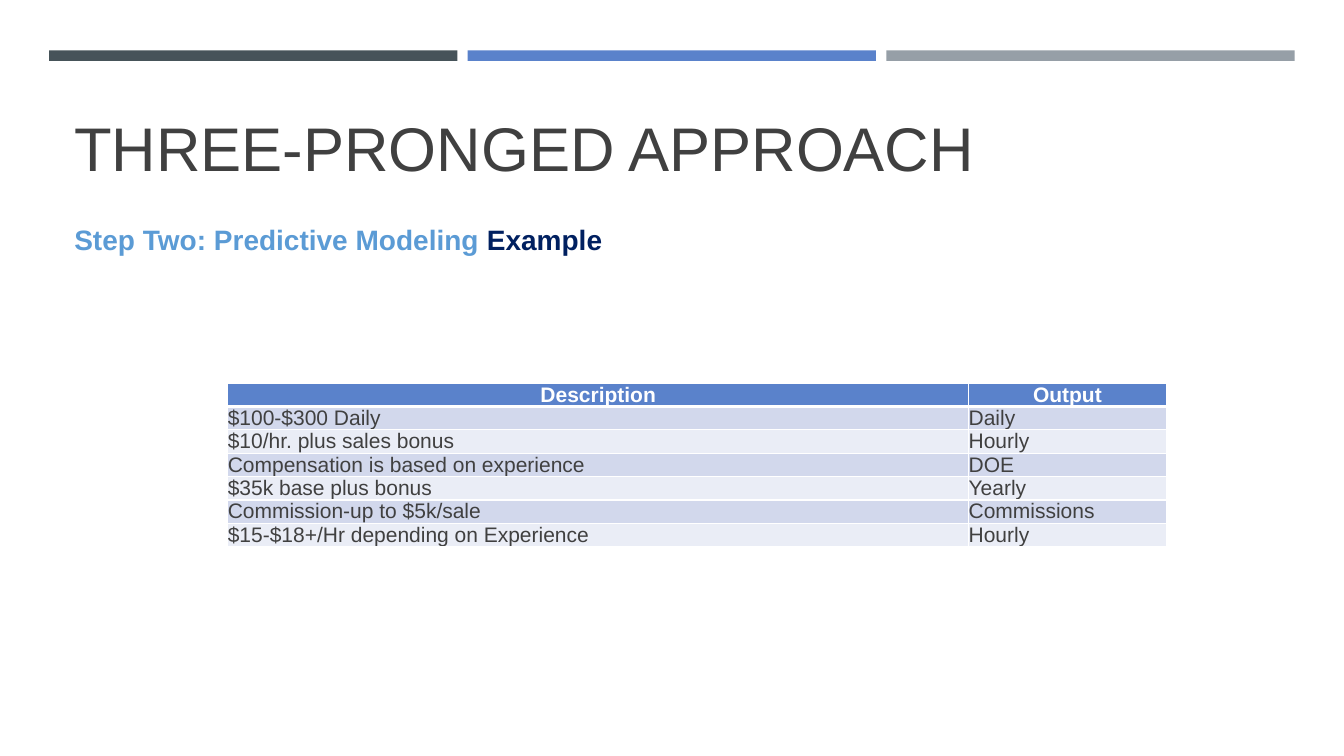
from lxml import etree
from pptx import Presentation
from pptx.dml.color import RGBColor
from pptx.enum.shapes import MSO_SHAPE
from pptx.enum.text import MSO_ANCHOR, PP_ALIGN
from pptx.oxml.ns import qn
from pptx.util import Pt

RECT = MSO_SHAPE.RECTANGLE
TOP, MIDDLE, BOTTOM = MSO_ANCHOR.TOP, MSO_ANCHOR.MIDDLE, MSO_ANCHOR.BOTTOM
LEFT, CENTER = PP_ALIGN.LEFT, PP_ALIGN.CENTER

WHITE = RGBColor(0xFF, 0xFF, 0xFF)
SLATE = RGBColor(0x46, 0x53, 0x59)
BLUE = RGBColor(0x5A, 0x82, 0xCB)
GRAY = RGBColor(0x96, 0x9F, 0xA7)
DARK = RGBColor(0x40, 0x40, 0x40)
SKY = RGBColor(0x5B, 0x9B, 0xD5)
NAVY = RGBColor(0x00, 0x20, 0x60)
BAND_DARK = RGBColor(0xD2, 0xD8, 0xEC)
BAND_LIGHT = RGBColor(0xEA, 0xED, 0xF6)

PAY_ROWS = [
    ("Description", "Output"),
    ("$100-$300 Daily", "Daily"),
    ("$10/hr. plus sales bonus", "Hourly"),
    ("Compensation is based on experience", "DOE"),
    ("$35k base plus bonus", "Yearly"),
    ("Commission-up to $5k/sale", "Commissions"),
    ("$15-$18+/Hr depending on Experience", "Hourly"),
]


def add_run(p, text, *, size, color, bold=False, font="Arial"):
    r = p.add_run()
    r.text = text
    r.font.name = font
    r.font.size = Pt(size)
    r.font.bold = bold
    r.font.color.rgb = color


def set_border(cell, side, color, width):
    tc_pr = cell._tc.get_or_add_tcPr()
    ln = etree.SubElement(tc_pr, qn(f"a:ln{side}"), w=str(Pt(width)))
    fill = etree.SubElement(ln, qn("a:solidFill"))
    etree.SubElement(fill, qn("a:srgbClr"), val=str(color))


class SlideBuilder:
    text_size = 15
    row_height = 16

    def __init__(self, slide):
        self.s = slide

    def bar(self, x, y, w, h, color):
        sp = self.s.shapes.add_shape(RECT, Pt(x), Pt(y), Pt(w), Pt(h))
        sp.shadow.inherit = False
        sp.fill.solid()
        sp.fill.fore_color.rgb = color
        sp.line.fill.background()

    def text(self, x, y, w, h, runs, size, bold=False, anchor=TOP, spacing=1.0):
        tf = self.s.shapes.add_textbox(Pt(x), Pt(y), Pt(w), Pt(h)).text_frame
        tf.word_wrap = True
        tf.vertical_anchor = anchor
        p = tf.paragraphs[0]
        p.line_spacing = spacing
        for text, color in runs:
            add_run(p, text, size=size, color=color, bold=bold)

    def table(self, x, y, widths, h, rows):
        sp = self.s.shapes.add_table(
            len(rows), len(widths), Pt(x), Pt(y), Pt(sum(widths)), Pt(h))
        table = sp.table
        for column, width in zip(table.columns, widths):
            column.width = Pt(width)
        for i, values in enumerate(rows):
            table.rows[i].height = Pt(self.row_height)
            for j, value in enumerate(values):
                self.cell(table.cell(i, j), value, i)
        sp.height = Pt(h)

    def cell(self, cell, value, row):
        header = row == 0
        cell.margin_left = cell.margin_right = 0
        cell.margin_top = cell.margin_bottom = 0
        cell.vertical_anchor = MIDDLE
        for side in "LRTB":
            thick = (header and side == "B") or (row == 1 and side == "T")
            set_border(cell, side, WHITE, 3 if thick else 1)
        cell.fill.solid()
        band = BAND_DARK if row % 2 else BAND_LIGHT
        cell.fill.fore_color.rgb = BLUE if header else band
        p = cell.text_frame.paragraphs[0]
        p.alignment = CENTER if header else LEFT
        add_run(p, value, size=self.text_size,
                color=WHITE if header else DARK, bold=header)


def main():
    prs = Presentation()
    prs.slide_width, prs.slide_height = Pt(960), Pt(540)
    b = SlideBuilder(prs.slides.add_slide(prs.slide_layouts[6]))
    for i, color in enumerate((SLATE, BLUE, GRAY)):
        b.bar(35.1 + i * 299, 36, 291.6, 7.5, color)
    b.table(162.7, 273.6, (529.2, 141.1), 126, PAY_ROWS)
    b.text(46, 155.5, 391.7, 55.4,
           [("Step Two: Predictive Modeling ", SKY), ("Example", NAVY)],
           size=20, bold=True)
    b.text(46, 57.6, 868.3, 77.8, [("THREE-PRONGED APPROACH", DARK)],
           size=44, anchor=BOTTOM, spacing=0.9)
    prs.save("out.pptx")


if __name__ == "__main__":
    main()
